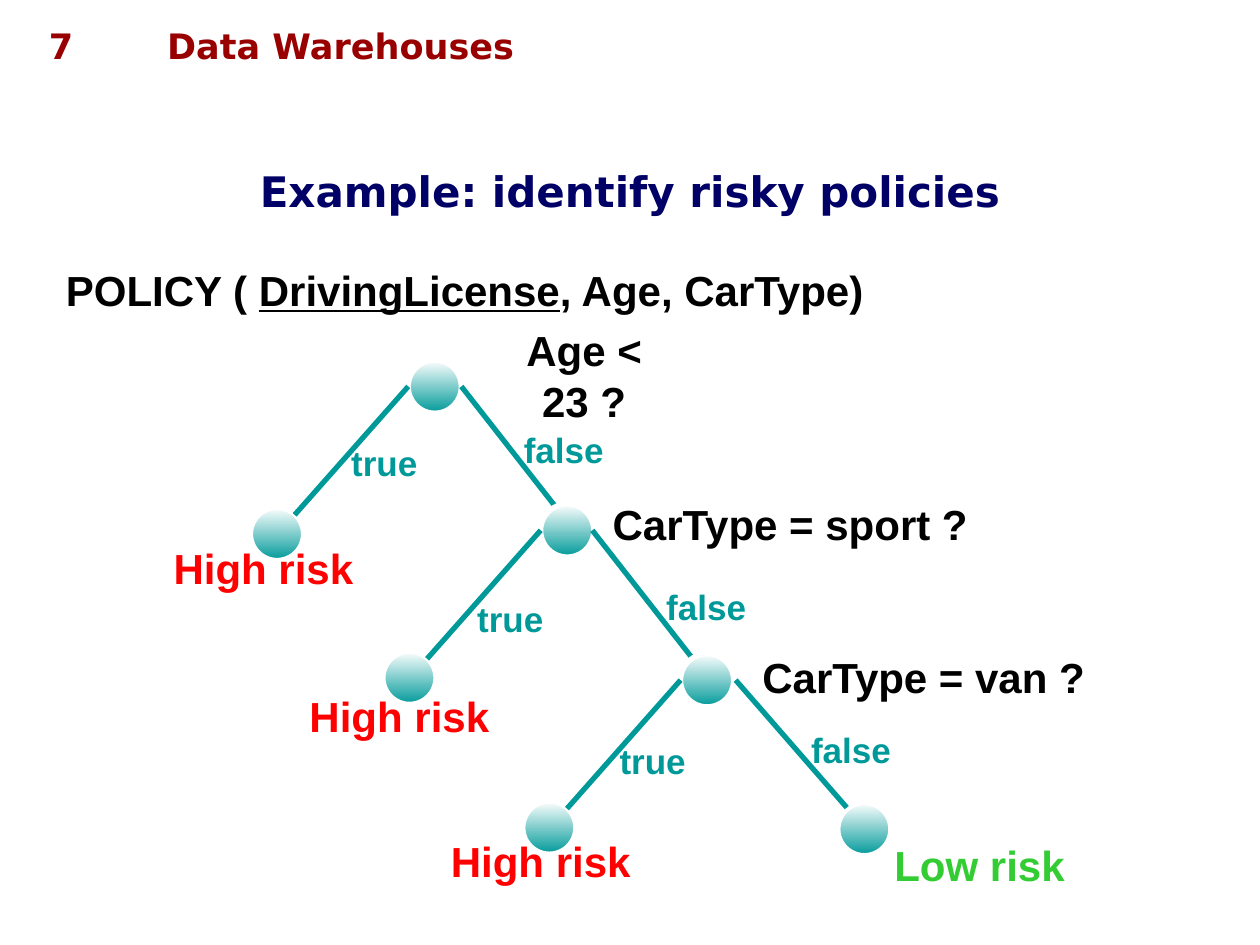
import pptx
import pptx.dml.color
import pptx.enum.shapes
import pptx.enum.text
import pptx.oxml.ns
import pptx.util
from lxml import etree

Cm = pptx.util.Cm
RGBColor = pptx.dml.color.RGBColor
ALIGN = pptx.enum.text.PP_ALIGN
ANCHOR = pptx.enum.text.MSO_ANCHOR

DARK_RED = RGBColor(0x99, 0x00, 0x00)
NAVY = RGBColor(0x00, 0x00, 0x66)
BLACK = RGBColor(0x00, 0x00, 0x00)
WHITE = RGBColor(0xFF, 0xFF, 0xFF)
TEAL = RGBColor(0x00, 0x99, 0x99)
RED = RGBColor(0xFF, 0x00, 0x00)
GREEN = RGBColor(0x33, 0xCC, 0x33)

NODE_SIZE = 1.07
NODE_MIDDLE = 0.53

# Each level: node, question and its width, branch labels, end of the
# false branch, and the risk label of the true leaf (centimetres)
LEVELS = [
    dict(node=(8.23, 7.26), question="Age < 23 ?", question_at=(9.4, 6.93), width=4.75,
         true_at=(6.83, 8.76), false_at=(10.31, 8.51),
         false_start=9.3, false_end=(11.61, 10.74), risk_at=(3.25, 10.8)),
    dict(node=(10.9, 10.16), question="CarType = sport ?", question_at=(12.07, 9.93), width=7.72,
         true_at=(9.37, 11.91), false_at=(13.18, 11.66),
         false_start=11.94, false_end=(14.27, 13.67), risk_at=(5.99, 13.79)),
    dict(node=(13.72, 13.18), question="CarType = van ?", question_at=(15.09, 13), width=7.06,
         true_at=(12.24, 14.78), false_at=(16.1, 14.55),
         false_start=14.83, false_end=(17.07, 16.28), risk_at=(8.84, 16.71)),
]


def add_span(para, text, *, size=24, color=BLACK, font="Arial", underline=False):
    span = para.add_run()
    span.text = text
    span.font.size = pptx.util.Pt(size)
    span.font.name = font
    span.font.bold = True
    span.font.underline = underline
    span.font.color.rgb = color


class TreeSlide:
    def __init__(self, deck):
        self.page = deck.slides.add_slide(deck.slide_layouts[5])
        self.heading_font = "DejaVu Sans"
        self.line_width = pptx.util.Pt(3)

    def title(self, text, left, top, width, height):
        box = self.page.shapes.title
        box.left, box.top, box.width, box.height = map(Cm, (left, top, width, height))
        frame = box.text_frame
        frame.auto_size = pptx.enum.text.MSO_AUTO_SIZE.NONE
        frame.vertical_anchor = ANCHOR.MIDDLE
        para = frame.paragraphs[0]
        para.alignment = ALIGN.CENTER
        add_span(para, text, color=NAVY, font=self.heading_font)

    def text(self, text, at, width, *, height=1.27, align=ALIGN.LEFT, wrap=True,
             anchor=ANCHOR.MIDDLE, **style):
        box = self.page.shapes.add_textbox(Cm(at[0]), Cm(at[1]), Cm(width), Cm(height))
        frame = box.text_frame
        frame.word_wrap = wrap
        frame.vertical_anchor = anchor
        para = frame.paragraphs[0]
        para.alignment = align
        add_span(para, text, **style)
        return para

    def header(self, text, left, width, align=ALIGN.LEFT):
        self.text(text, (left, 0.36), width, height=1.12, align=align, anchor=ANCHOR.TOP,
                  size=20, color=DARK_RED, font=self.heading_font)

    def branch_label(self, text, at):
        self.text(text, at, 3.15, height=1.12, size=20, color=TEAL)

    def node(self, left, top):
        circle = self.page.shapes.add_shape(
            pptx.enum.shapes.MSO_SHAPE.OVAL, Cm(left), Cm(top), Cm(NODE_SIZE), Cm(NODE_SIZE))
        circle.shadow.inherit = False
        circle.fill.gradient()
        circle.fill.gradient_angle = 270
        for stop, position, color in zip(circle.fill.gradient_stops, (0, 1), (WHITE, TEAL)):
            stop.position = position
            stop.color.rgb = color
        circle.line.color.rgb = WHITE
        circle.line.width = self.line_width

    def branch(self, start, end):
        line = self.page.shapes.add_connector(
            pptx.enum.shapes.MSO_CONNECTOR.STRAIGHT, *map(Cm, (*start, *end)))
        line.line.color.rgb = TEAL
        line.line.width = self.line_width
        etree.SubElement(line._element.spPr, pptx.oxml.ns.qn("a:effectLst"))


def main():
    deck = pptx.Presentation()
    deck.slide_width, deck.slide_height = Cm(25.4), Cm(19.05)
    slide = TreeSlide(deck)

    # Header, title and schema
    slide.header("Data Warehouses", 3.12, 21.62)
    slide.header("7", 0.33, 1.8, ALIGN.CENTER)
    slide.title("Example: identify risky policies", 0, 3.15, 25.4, 1.37)
    schema = slide.text("POLICY ( ", (1.08, 5.21), 20.6)
    add_span(schema, "DrivingLicense", underline=True)
    add_span(schema, ", Age, CarType)")

    # Nodes and branches
    slide.node(16.89, 16.18)
    for level in LEVELS:
        left, top = level["node"]
        middle = top + NODE_MIDDLE
        slide.node(left, top)
        slide.node(left - 3.18, top + 2.97)
        slide.branch((left, middle), (left - 2.29, top + 3.12))
        slide.branch((level["false_start"], middle), level["false_end"])

    # Labels
    for level in LEVELS:
        slide.text(level["question"], level["question_at"], level["width"],
                   align=ALIGN.CENTER, wrap=False)
        slide.branch_label("true", level["true_at"])
        slide.branch_label("false", level["false_at"])
        slide.text("High risk", level["risk_at"], 5.26, color=RED)
    slide.text("Low risk", (17.78, 16.79), 5.28, color=GREEN)

    deck.save("out.pptx")


if __name__ == "__main__":
    main()
